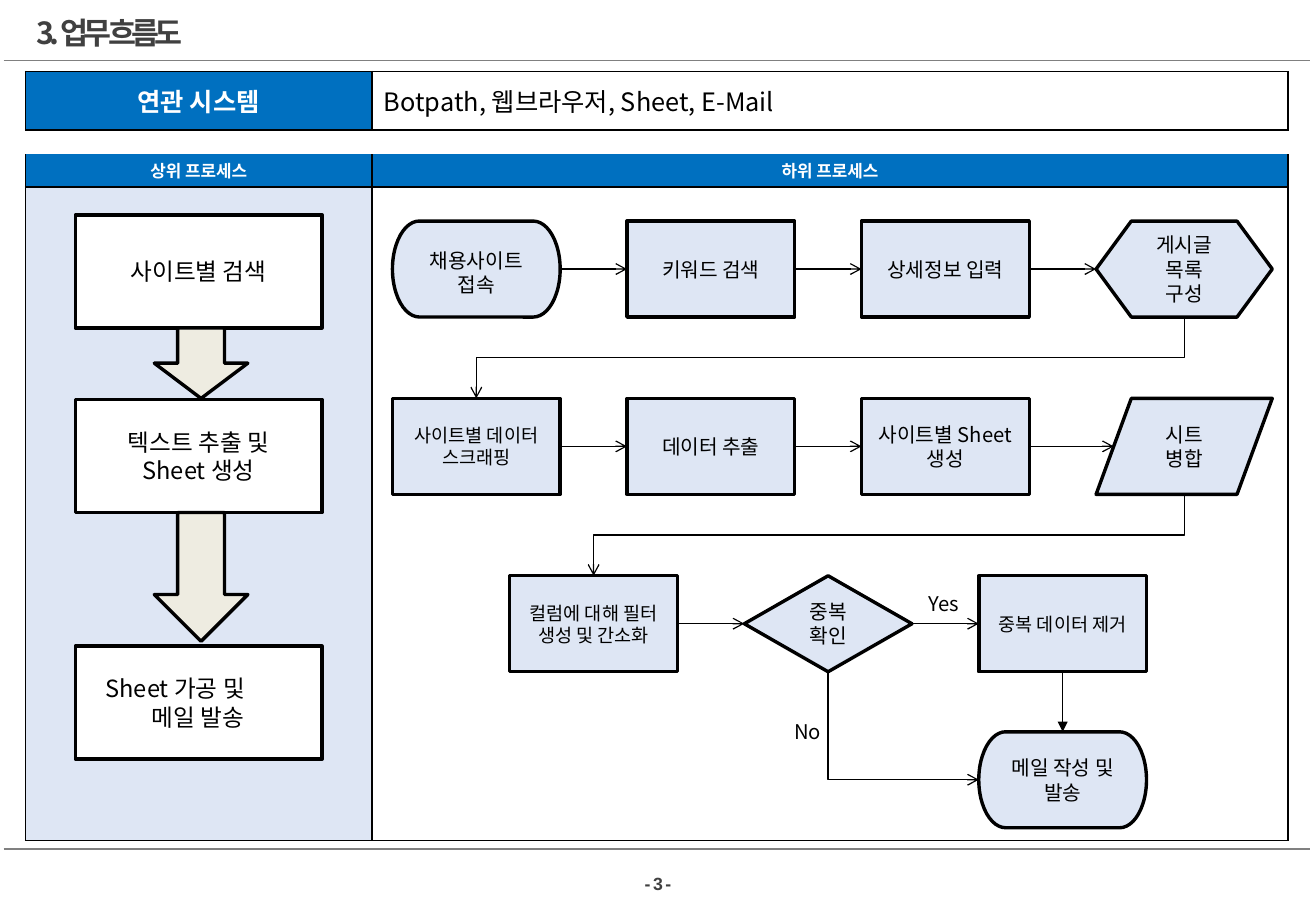
from lxml import etree
from pptx import Presentation
from pptx.dml.color import RGBColor
from pptx.enum.shapes import MSO_CONNECTOR as CONN, MSO_SHAPE as SHAPE
from pptx.enum.text import MSO_ANCHOR as ANCHOR, PP_ALIGN as ALIGN
from pptx.oxml.ns import qn
from pptx.util import Inches, Pt

BLACK = RGBColor(0, 0, 0)
WHITE = RGBColor(255, 255, 255)
BLUE = RGBColor(0x00, 0x70, 0xC0)
PALE = RGBColor(0xDE, 0xE6, 0xF4)
BEIGE = RGBColor(0xEE, 0xEC, 0xE1)
GRAY = RGBColor(0x80, 0x80, 0x80)
DARK = RGBColor(0x40, 0x40, 0x40)
FONT = "Noto Sans CJK KR"

TOP, LEFT, BOTTOM, RIGHT = range(4)
ROWS = [
    (0.48, "LRTB", ("연관 시스템", "Botpath, 웹브라우저, Sheet, E-Mail"), (BLUE, WHITE), 15),
    (0.2, "T", ("", ""), (WHITE, WHITE), 4),
    (0.27, "LRB", ("상위 프로세스", "하위 프로세스"), (BLUE, BLUE), 10),
    (5.38, "LRTB", ("", ""), (PALE, WHITE), 10),
]
STEPS = [
    (0.23, "사이트별 검색", None),
    (1.75, "텍스트 추출 및\nSheet 생성", None),
    (3.78, "Sheet 가공 및\n메일 발송", (0.15, 0.53)),
]
NODES = {
    "open": (SHAPE.FLOWCHART_TERMINATOR, 0, 0, "채용사이트\v접속", 12),
    "keyword": (SHAPE.FLOWCHART_PROCESS, 1, 0, "키워드 검색", 12),
    "detail": (SHAPE.FLOWCHART_PROCESS, 2, 0, "상세정보 입력", 12),
    "list": (SHAPE.FLOWCHART_PREPARATION, 3, 0, "게시글\v목록\v구성", 12),
    "scrape": (SHAPE.FLOWCHART_PROCESS, 0, 1, "사이트별 데이터\v스크래핑", 11),
    "extract": (SHAPE.FLOWCHART_PROCESS, 1, 1, "데이터 추출", 12),
    "sheet": (SHAPE.FLOWCHART_PROCESS, 2, 1, "사이트별 Sheet\v생성", 12),
    "merge": (SHAPE.FLOWCHART_DATA, 3, 1, "시트\v병합", 12),
    "filter": (SHAPE.FLOWCHART_PROCESS, 0.5, 2, "컬럼에 대해 필터\v생성 및 간소화", 11),
    "check": (SHAPE.FLOWCHART_DECISION, 1.5, 2, "중복\v확인", 12),
    "dedupe": (SHAPE.FLOWCHART_PROCESS, 2.5, 2, "중복 데이터 제거", 11),
    "mail": (SHAPE.FLOWCHART_TERMINATOR, 2.5, 2.88, "메일 작성 및\v발송", 12),
}
ROW_LINKS = [
    ("open", "keyword"), ("keyword", "detail"), ("detail", "list"),
    ("scrape", "extract"), ("extract", "sheet"), ("sheet", "merge"),
    ("filter", "check"), ("check", "dedupe"),
]


def write(tf, text, size, color=BLACK, bold=False, align=ALIGN.CENTER, name=FONT, spc=None):
    tf.text = text
    for p in tf.paragraphs:
        p.alignment = align
        for r in p.runs:
            for key, value in {"size": Pt(size), "bold": bold, "name": name}.items():
                setattr(r.font, key, value)
            r.font.color.rgb = color
            rPr = r._r.get_or_add_rPr()
            etree.SubElement(rPr, qn("a:ea"), typeface=name)
            if spc:
                rPr.set("spc", str(spc))


def add_node(s, kind, x, y, w, h, fill, text="", size=12):
    sp = s.shapes.add_shape(kind, Inches(x), Inches(y), Inches(w), Inches(h))
    sp.shadow.inherit = False
    sp.fill.solid()
    sp.fill.fore_color.rgb = fill
    sp.line.color.rgb = BLACK
    sp.line.width = Pt(2)
    if text:
        sp.text_frame.vertical_anchor = ANCHOR.MIDDLE
        write(sp.text_frame, text, size)
    return sp


def add_label(s, x, y, w, h, text, size, wrap=True, inset=None, **style):
    tf = s.shapes.add_textbox(Inches(x), Inches(y), Inches(w), Inches(h)).text_frame
    tf.word_wrap = wrap
    if inset is not None:
        for side in ("left", "right", "top", "bottom"):
            setattr(tf, f"margin_{side}", Inches(inset))
    write(tf, text, size, **style)


def add_line(s, kind, start, end, color=BLACK, tail=None):
    c = s.shapes.add_connector(kind, *start, *end)
    c.line.color.rgb = color
    c.line.width = Pt(0.75)
    if tail:
        etree.SubElement(c.line._get_or_add_ln(), qn("a:tailEnd"), type=tail)
    etree.SubElement(c._element.spPr, qn("a:effectLst"))
    return c


def side_point(sp, side):
    slant = sp.width // 10 if sp.auto_shape_type == SHAPE.FLOWCHART_DATA else 0
    mid_x, mid_y = sp.left + sp.width // 2, sp.top + sp.height // 2
    return {
        TOP: (mid_x, sp.top),
        LEFT: (sp.left + slant, mid_y),
        BOTTOM: (mid_x, sp.top + sp.height),
        RIGHT: (sp.left + sp.width - slant, mid_y),
    }[side]


def link(s, a, a_side, b, b_side, kind=CONN.STRAIGHT, tail="arrow"):
    c = add_line(s, kind, side_point(a, a_side), side_point(b, b_side), tail=tail)
    if a.auto_shape_type != SHAPE.FLOWCHART_DATA:
        c.begin_connect(a, a_side)
    if b.auto_shape_type != SHAPE.FLOWCHART_DATA:
        c.end_connect(b, b_side)
    return c


def link_elbow(s, a, b, b_side):
    c = link(s, a, BOTTOM, b, b_side, CONN.ELBOW)
    (x1, y1), (x2, y2) = side_point(a, BOTTOM), side_point(b, b_side)
    w, h = abs(y2 - y1), abs(x2 - x1)
    box = {"left": (x1 + x2 - w) // 2, "top": (y1 + y2 - h) // 2, "width": w, "height": h}
    for key, value in box.items():
        setattr(c, key, value)
    one_bend = b_side == LEFT
    xfrm = c._element.spPr.find(qn("a:xfrm"))
    turn = {"rot": "16200000" if one_bend else "5400000",
            "flipH": "1" if one_bend else "0", "flipV": "0"}
    for key, value in turn.items():
        xfrm.set(key, value)
    if one_bend:
        c._element.spPr.find(qn("a:prstGeom")).set("prst", "bentConnector2")


def set_borders(cell, shown):
    tcPr = cell._tc.get_or_add_tcPr()
    for side in "LRTB":
        ln = etree.SubElement(tcPr, qn(f"a:ln{side}"), w=str(Pt(1)))
        if side in shown:
            fill = etree.SubElement(ln, qn("a:solidFill"))
            etree.SubElement(fill, qn("a:srgbClr"), val=str(BLACK))
        else:
            etree.SubElement(ln, qn("a:noFill"))


def frame(s):
    for y in (0.5, 6.99):
        add_line(s, CONN.STRAIGHT, (Inches(0.03), Inches(y)), (Inches(10.78), Inches(y)), GRAY)
    add_label(s, 0.3, 0.12, 1.27, 0.3, "3. 업무 흐름도", 18, wrap=False, inset=0,
              color=DARK, bold=True, align=ALIGN.LEFT, spc=-300)
    add_label(s, 5.14, 7.14, 0.55, 0.28, "- 3 -", 10.5, wrap=False,
              color=DARK, bold=True, name="Arial", spc=-70)


def process_table(s, x, y, widths):
    height = sum(row[0] for row in ROWS)
    table = s.shapes.add_table(len(ROWS), len(widths), Inches(x), Inches(y),
                               Inches(sum(widths)), Inches(height)).table
    for col, w in zip(table.columns, widths):
        col.width = Inches(w)
    for i, (h, borders, texts, fills, size) in enumerate(ROWS):
        table.rows[i].height = Inches(h)
        for j, (text, fill) in enumerate(zip(texts, fills)):
            cell = table.cell(i, j)
            set_borders(cell, borders)
            cell.fill.solid()
            cell.fill.fore_color.rgb = fill
            cell.vertical_anchor = ANCHOR.MIDDLE
            cell.margin_top = cell.margin_bottom = Inches(0.02)
            if text:
                header = fill == BLUE
                write(cell.text_frame, text, size, WHITE if header else BLACK, header,
                      ALIGN.CENTER if header else ALIGN.LEFT)
            else:
                p = cell.text_frame.paragraphs[0]
                etree.SubElement(p._p, qn("a:endParaRPr"), sz=str(size * 100))
    table.cell(1, 0).merge(table.cell(1, 1))


def upper_process(s, x, y):
    for top, text, indents in STEPS:
        sp = add_node(s, SHAPE.FLOWCHART_PROCESS, x + 0.41, y + top, 2.03, 0.93, WHITE, text, 14)
        if indents:
            for p, indent in zip(sp.text_frame.paragraphs, indents):
                p.alignment = ALIGN.LEFT
                p._p.get_or_add_pPr().set("marL", str(Inches(indent)))
    for top, h in ((1.16, 0.58), (2.68, 1.06)):
        add_node(s, SHAPE.DOWN_ARROW, x + 1.06, y + top, 0.77, h, BEIGE)


def lower_process(s, x, y):
    nodes = {}
    for key, (kind, col, row, text, size) in NODES.items():
        w = 1.45 if col == 3 else 1.38
        nodes[key] = add_node(s, kind, x + 0.17 + 1.93 * col, y + 0.28 + 1.46 * row,
                              w, 0.79, PALE, text, size)
    nodes["open"].text_frame.vertical_anchor = ANCHOR.BOTTOM
    for a, b in ROW_LINKS:
        link(s, nodes[a], RIGHT, nodes[b], LEFT)
    link(s, nodes["dedupe"], BOTTOM, nodes["mail"], TOP, tail="triangle")
    for a, b, side in (("list", "scrape", TOP), ("merge", "filter", TOP), ("check", "mail", LEFT)):
        link_elbow(s, nodes[a], nodes[b], side)
    add_label(s, x + 4.16, y + 3.28, 1.09, 0.29, "Yes", 12)
    add_label(s, x + 3.04, y + 4.33, 1.09, 0.3, "No", 12)


def main():
    prs = Presentation()
    prs.slide_width, prs.slide_height = Inches(10.83), Inches(7.5)
    s = prs.slides.add_slide(prs.slide_layouts[6])
    frame(s)
    process_table(s, 0.21, 0.59, (2.85, 7.54))
    upper_process(s, 0.21, 1.54)
    lower_process(s, 3.06, 1.54)
    prs.save("out.pptx")


if __name__ == "__main__":
    main()
